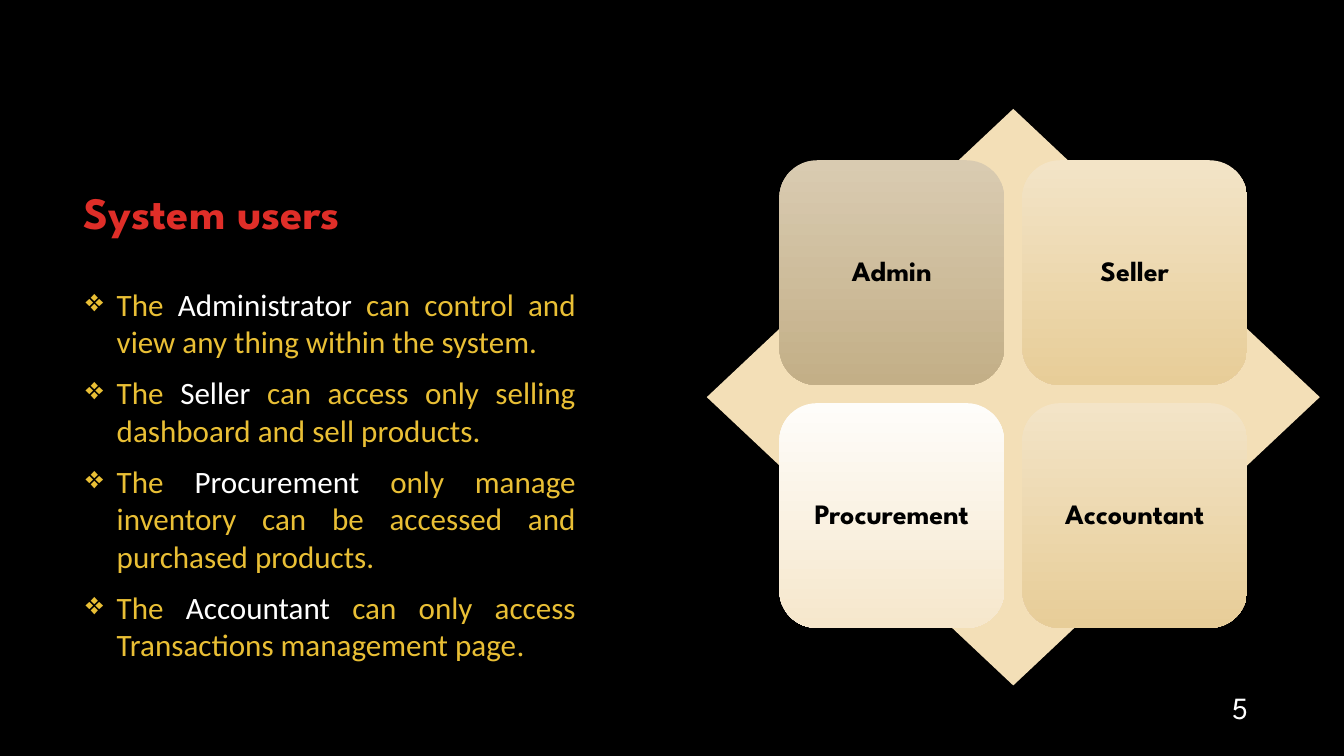
import pptx
import pptx.util
import pptx.dml.color
import pptx.enum.shapes
import pptx.enum.text
import pptx.oxml
import pptx.oxml.ns

Inches = pptx.util.Inches
Pt = pptx.util.Pt
SHAPE = pptx.enum.shapes.MSO_SHAPE
ALIGN = pptx.enum.text.PP_ALIGN
ANCHOR = pptx.enum.text.MSO_ANCHOR

COLOURS = {
    "background": "000000", "title": "DF2E28", "body": "E9BF35",
    "white": "FFFFFF", "black": "000000", "diamond": "F3DFB7",
}
HEADING_FONT = "League Spartan"

# Name, top colour, bottom colour; filled row by row
USER_TILES = [
    ("Admin", "D9CBB1", "C3AF87"),
    ("Seller", "F3E4C7", "E7CD98"),
    ("Procurement", "FEFDFA", "F6E7CC"),
    ("Accountant", "F3E4C7", "E7CD98"),
]
USER_ROLES = [
    ("Administrator", " can control and view any thing within the system."),
    ("Seller", " can access only selling dashboard and sell products."),
    ("Procurement", " only manage inventory can be accessed and purchased products."),
    ("Accountant", " can only access Transactions management page"),
]


def rgb(value):
    return pptx.dml.color.RGBColor.from_string(value)


def apply_format(target, values):
    for name, value in values.items():
        setattr(target, name, value)


def add_span(para, text, colour, size, name=HEADING_FONT, bold=False):
    span = para.add_run()
    span.text = text
    apply_format(span.font, {"name": name, "size": Pt(size), "bold": bold})
    span.font.color.rgb = rgb(COLOURS[colour])


def set_bullet(para, char, indent):
    props = para._p.get_or_add_pPr()
    props.set("marL", str(indent))
    props.set("indent", str(-indent))
    bullet = pptx.oxml.parse_xml(
        f'<a:buChar {pptx.oxml.ns.nsdecls("a")} char="{char}"/>')
    props.append(bullet)


def add_title(page, text):
    title = page.shapes.title
    apply_format(title, {"left": Inches(0.73), "top": Inches(1.45),
                         "width": Inches(5.06), "height": Inches(0.97)})
    title.text_frame.vertical_anchor = ANCHOR.BOTTOM
    para = title.text_frame.paragraphs[0]
    apply_format(para, {"alignment": ALIGN.LEFT, "line_spacing": 0.9})
    add_span(para, text, "title", 32, bold=True)


def add_text_box(page, left, top, width, height):
    box = page.shapes.add_textbox(
        Inches(left), Inches(top), Inches(width), Inches(height))
    box.text_frame.word_wrap = True
    return box.text_frame


def add_roles(page):
    frame = add_text_box(page, 0.75, 2.78, 5.06, 4.02)
    for index, (role, duty) in enumerate(USER_ROLES):
        para = frame.add_paragraph() if index else frame.paragraphs[0]
        apply_format(para, {"alignment": ALIGN.JUSTIFY, "space_before": Pt(10)})
        set_bullet(para, "❖", Inches(0.31))
        for text, colour in (("The ", "body"), (role, "white"), (duty, "body")):
            add_span(para, text, colour, 22.2, "Calibri")
    add_span(para, ".", "body", 20.4)


def add_plain_shape(group, kind, left, top, width, height):
    shape = group.shapes.add_shape(
        kind, Inches(left), Inches(top), Inches(width), Inches(height))
    shape.shadow.inherit = False
    shape.line.fill.background()
    return shape


def add_tile(group, left, top, size, name, top_colour, bottom_colour):
    tile = add_plain_shape(group, SHAPE.ROUNDED_RECTANGLE, left, top, size, size)
    tile.fill.gradient()
    tile.fill.gradient_angle = 270
    for stop, colour in zip(tile.fill.gradient_stops, (top_colour, bottom_colour)):
        stop.color.rgb = rgb(colour)
    apply_format(tile.text_frame, {
        "word_wrap": True, "vertical_anchor": ANCHOR.MIDDLE,
        "margin_left": Inches(0.08), "margin_right": Inches(0.08)})
    para = tile.text_frame.paragraphs[0]
    apply_format(para, {"alignment": ALIGN.CENTER, "line_spacing": 0.9})
    add_span(para, name, "black", 20, bold=True)


def add_user_matrix(page):
    group = page.shapes.add_group_shape()
    diamond = add_plain_shape(group, SHAPE.DIAMOND, 7.01, 1.08, 6.08, 5.72)
    diamond.fill.solid()
    diamond.fill.fore_color.rgb = rgb(COLOURS["diamond"])
    size, pitch = 2.23, 2.41
    for index, tile in enumerate(USER_TILES):
        row, column = divmod(index, 2)
        add_tile(group, 7.73 + column * pitch, 1.59 + row * pitch, size, *tile)


def add_page_number(page, number):
    frame = add_text_box(page, 12.12, 6.8, 0.65, 0.43)
    frame.vertical_anchor = ANCHOR.MIDDLE
    add_span(frame.paragraphs[0], number, "white", 22)


def main():
    deck = pptx.Presentation()
    apply_format(deck, {"slide_width": Inches(13.33), "slide_height": Inches(7.5)})
    page = deck.slides.add_slide(deck.slide_layouts[5])
    page.background.fill.solid()
    page.background.fill.fore_color.rgb = rgb(COLOURS["background"])

    # Left: heading and roles
    add_title(page, "System users")
    add_roles(page)

    # Right: four users on a diamond
    add_user_matrix(page)

    add_page_number(page, "5")
    deck.save("out.pptx")


if __name__ == "__main__":
    main()
